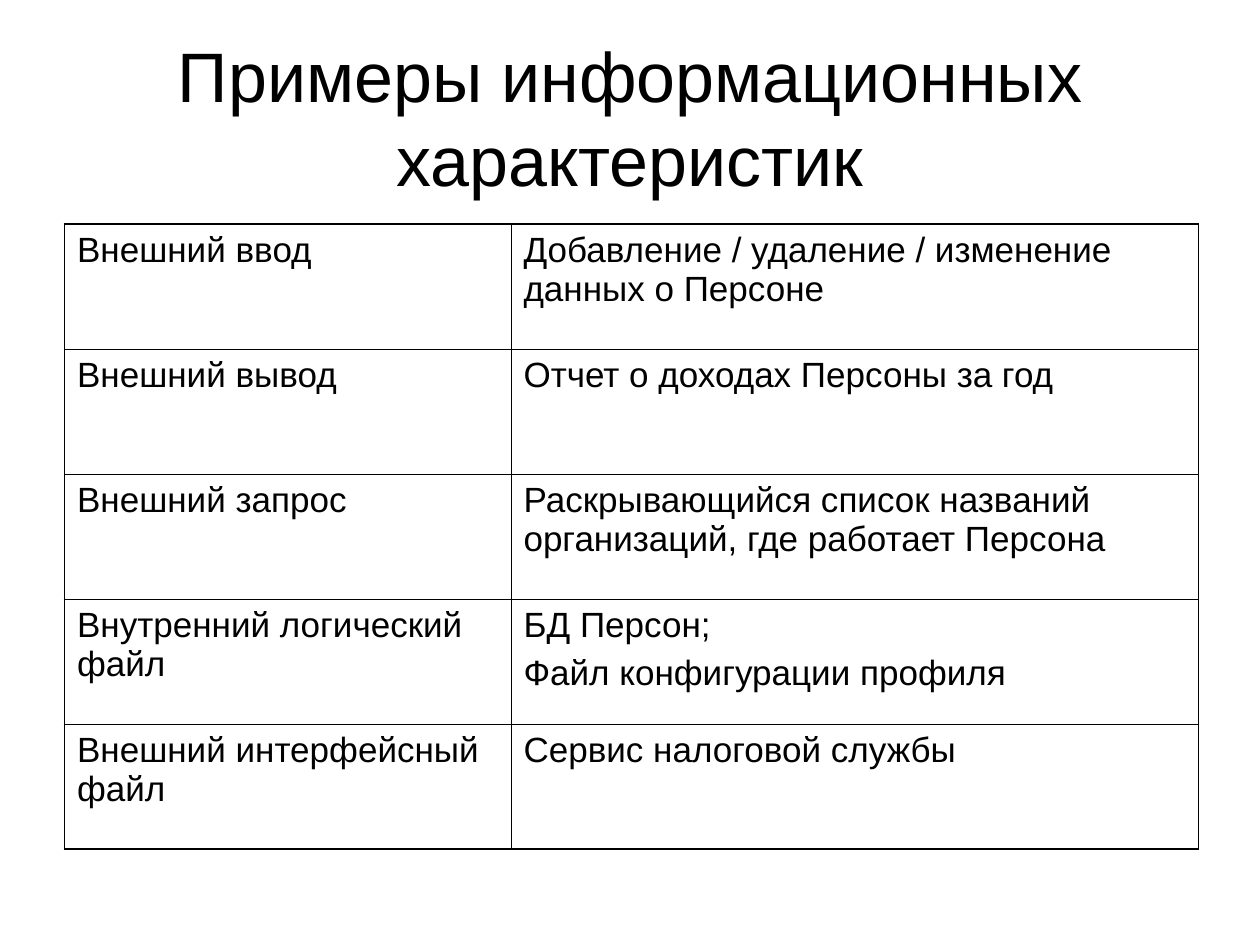
from lxml import etree
from pptx import Presentation
from pptx.dml.color import RGBColor
from pptx.enum.text import MSO_ANCHOR as Anchor, PP_ALIGN as Align
from pptx.oxml.ns import qn
from pptx.util import Cm, Pt

BLACK = RGBColor(0x00, 0x00, 0x00)
THIN, THICK = Pt(0.45), Pt(1.08)
TITLE = "Примеры информационных характеристик"
ROWS = [
    ("Внешний ввод", "Добавление / удаление / изменение данных о Персоне"),
    ("Внешний вывод", "Отчет о доходах Персоны за год"),
    ("Внешний запрос",
     "Раскрывающийся список названий организаций, где работает Персона"),
    ("Внутренний логический файл", "БД Персон;\nФайл конфигурации профиля"),
    ("Внешний интерфейсный файл", "Сервис налоговой службы"),
]
COLUMN_WIDTHS = [Cm(9), Cm(13.86)]
ROW_HEIGHT = Cm(2.52)


def format_text(frame, size, **para_format):
    for para in frame.paragraphs:
        for name, value in para_format.items():
            setattr(para, name, value)
        for span in para.runs:
            for name, value in {"name": "Arial", "size": Pt(size)}.items():
                setattr(span.font, name, value)
            span.font.color.rgb = BLACK


def add_border(cell, side, width):
    line = etree.SubElement(cell._tc.get_or_add_tcPr(), qn(f"a:ln{side}"), w=str(width))
    fill = etree.SubElement(line, qn("a:solidFill"))
    etree.SubElement(fill, qn("a:srgbClr"), val=str(BLACK))


deck = Presentation()
deck.slide_width, deck.slide_height = Cm(25.4), Cm(19.05)
page = deck.slides.add_slide(deck.slide_layouts[6])

title_box = page.shapes.add_textbox(Cm(1.27), Cm(0.76), Cm(22.86), Cm(3.18))
title_frame = title_box.text_frame
title_frame.word_wrap = True
title_frame.vertical_anchor = Anchor.MIDDLE
title_frame.text = TITLE
format_text(title_frame, 40, alignment=Align.CENTER)

table = page.shapes.add_table(
    len(ROWS), len(COLUMN_WIDTHS), Cm(1.3), Cm(4.52),
    sum(COLUMN_WIDTHS), ROW_HEIGHT * len(ROWS)).table
table.first_row = table.horz_banding = False
for column, width in zip(table.columns, COLUMN_WIDTHS):
    column.width = width

last_row, last_column = len(ROWS) - 1, len(COLUMN_WIDTHS) - 1
for r, texts in enumerate(ROWS):
    table.rows[r].height = ROW_HEIGHT
    for c, text in enumerate(texts):
        cell = table.cell(r, c)
        cell.text = text
        format_text(cell.text_frame, 20, space_before=Pt(5))
        # Outer edges are thick, inner ones thin; borders must precede the fill
        outer_edges = {"L": c == 0, "R": c == last_column,
                       "T": r == 0, "B": r == last_row}
        for side, is_outer in outer_edges.items():
            add_border(cell, side, THICK if is_outer else THIN)
        cell.fill.background()

deck.save("out.pptx")
